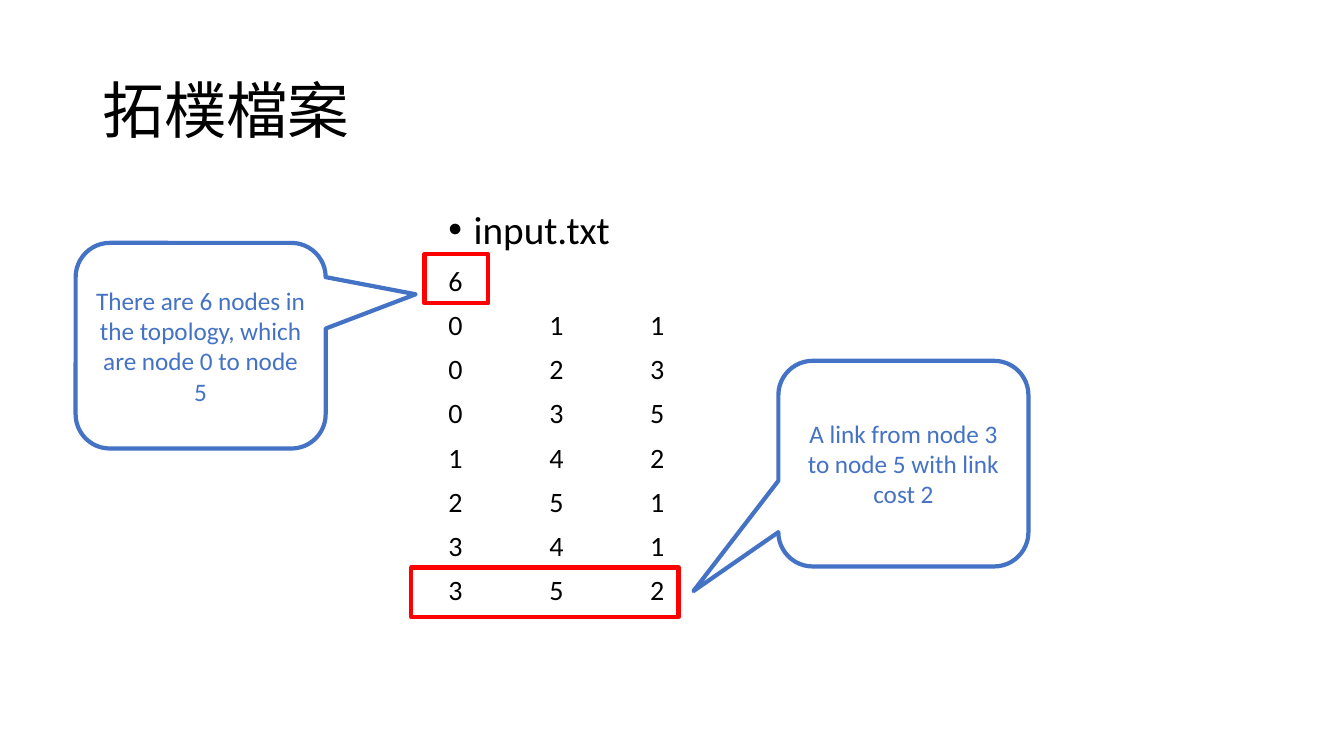
from lxml.etree import SubElement
from pptx import Presentation
from pptx.dml.color import RGBColor
from pptx.enum.shapes import MSO_SHAPE as Shape
from pptx.enum.text import MSO_ANCHOR as Anchor, PP_ALIGN as Align
from pptx.oxml.ns import qn
from pptx.util import Inches, Pt

TITLE = "拓樸檔案"
FILE_NAME = "input.txt"
NODE_COUNT = "6"
LINKS = [(0, 1, 1), (0, 2, 3), (0, 3, 5), (1, 4, 2), (2, 5, 1), (3, 4, 1), (3, 5, 2)]
MARKERS = [(4.21, 2.52, 0.63, 0.49), (4.08, 5.63, 2.65, 0.49)]
CALLOUT_SIZE = (2.48, 2.04)
CALLOUTS = [
    ("There are 6 nodes in the topology, which are node 0 to node 5",
     (0.75, 2.41), (0.86, -0.25)),
    ("A link from node 3 to node 5 with link cost 2",
     (7.72, 3.58), (-0.84, 0.62)),
]
FONT, BLACK, RED, BLUE = "Calibri", "000000", "FF0000", "4472C4"
TAB_STEP, BULLET_INDENT = 1, 0.25


def color(value):
    """Turn a hex string into a colour."""
    return RGBColor.from_string(value)


def inches(*lengths):
    """Turn lengths in inches into slide units."""
    return [Inches(length) for length in lengths]


def style(para, size, ink, align=Align.LEFT):
    """Set the font and alignment of a paragraph."""
    para.alignment = align
    para.font.name, para.font.size = FONT, Pt(size)
    para.font.color.rgb = color(ink)


def add_title(page):
    """Place and format the title."""
    title = page.shapes.title
    title.left, title.top, title.width, title.height = inches(0.92, 0.4, 11.5, 1.45)
    title.text_frame.text = TITLE
    title.text_frame.vertical_anchor = Anchor.MIDDLE
    para = title.text_frame.paragraphs[0]
    style(para, 44, BLACK)
    para.line_spacing = 0.9


def add_bullet(para):
    """Give a paragraph a round bullet with a hanging indent."""
    props = para._p.get_or_add_pPr()
    props.set("marL", str(Inches(BULLET_INDENT)))
    props.set("indent", str(-Inches(BULLET_INDENT)))
    SubElement(props, qn("a:buFont"), typeface="Arial")
    SubElement(props, qn("a:buChar"), char="•")


def add_tabs(para, count):
    """Set evenly spaced tab stops."""
    tabs = SubElement(para._p.get_or_add_pPr(), qn("a:tabLst"))
    for number in range(1, count + 1):
        SubElement(tabs, qn("a:tab"), pos=str(Inches(number * TAB_STEP)), algn="l")


def add_listing(page):
    """Write the file name and the lines of the file."""
    frame = page.shapes.add_textbox(*inches(4.35, 2.04, 4.47, 4.76)).text_frame
    frame.word_wrap = True
    rows = ["\t".join(map(str, link)) for link in LINKS]
    lines = [FILE_NAME, NODE_COUNT, *rows]
    frame.text = "\n".join(lines)
    for index, para in enumerate(frame.paragraphs):
        style(para, 20 if index else 28, BLACK)
        para.line_spacing, para.space_before = 0.9, Pt(10)
        if index == 0:
            add_bullet(para)
        elif "\t" in lines[index]:
            add_tabs(para, len(LINKS[0]) - 1)


def add_outline(page, kind, place, ink):
    """Add an unfilled shape with a thick line."""
    box = page.shapes.add_shape(kind, *inches(*place))
    box.shadow.inherit = False
    box.fill.background()
    box.line.color.rgb, box.line.width = color(ink), Pt(3)
    return box


def add_callout(page, text, corner, tip):
    """Add a speech bubble whose tip is a share of its size from the centre."""
    box = add_outline(page, Shape.ROUNDED_RECTANGULAR_CALLOUT,
                      (*corner, *CALLOUT_SIZE), BLUE)
    box.adjustments[0], box.adjustments[1] = tip
    frame = box.text_frame
    frame.word_wrap, frame.vertical_anchor = True, Anchor.MIDDLE
    frame.text = text
    style(frame.paragraphs[0], 18, BLUE, Align.CENTER)


deck = Presentation()
deck.slide_width, deck.slide_height = inches(13.33, 7.5)
page = deck.slides.add_slide(deck.slide_layouts.get_by_name("Title Only"))
add_title(page)
add_listing(page)
for marker in MARKERS:
    add_outline(page, Shape.RECTANGLE, marker, RED)
for callout in CALLOUTS:
    add_callout(page, *callout)
deck.save("out.pptx")
